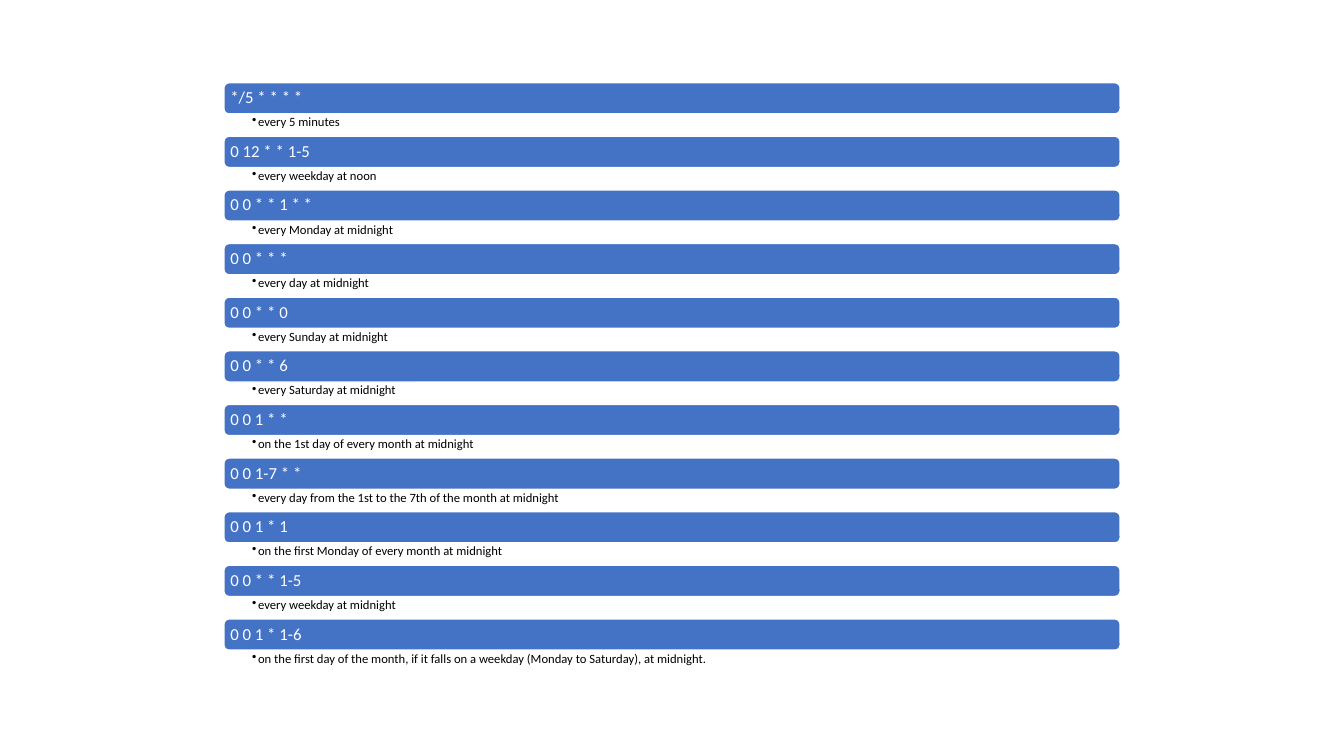
from lxml.etree import SubElement
from pptx import Presentation
from pptx.dml.color import RGBColor
from pptx.enum.shapes import MSO_SHAPE
from pptx.enum.text import MSO_ANCHOR, PP_ALIGN
from pptx.oxml.ns import qn
from pptx.util import Inches, Pt

COLOURS = {"bar": "4472C4", "outline": "FFFFFF", "expression": "FFFFFF", "meaning": "000000"}

SCHEDULES = [
    ("*/5 * * * *", "every 5 minutes"),
    ("0 12 * * 1-5", "every weekday at noon"),
    ("0 0 * * 1 * *", "every Monday at midnight"),
    ("0 0 * * *", "every day at midnight"),
    ("0 0 * * 0", "every Sunday at midnight"),
    ("0 0 * * 6", "every Saturday at midnight"),
    ("0 0 1 * *", "on the 1st day of every month at midnight"),
    ("0 0 1-7 * *", "every day from the 1st to the 7th of the month at midnight"),
    ("0 0 1 * 1", "on the first Monday of every month at midnight"),
    ("0 0 * * 1-5", "every weekday at midnight"),
    ("0 0 1 * 1-6",
     "on the first day of the month, if it falls on a weekday (Monday to Saturday), at midnight."),
]

# Layout of the list, in inches
LEFT, WIDTH = 2.22, 8.89
FIRST_TOP, LAST_TOP = 0.82, 6.14
BAR_HEIGHT, MEANING_HEIGHT = 0.31, 0.22
PITCH = (LAST_TOP - FIRST_TOP) / (len(SCHEDULES) - 1)


def write_line(shape, text, size, colour, insets, anchor):
    frame = shape.text_frame
    frame.word_wrap = True
    frame.vertical_anchor = anchor
    frame.margin_left, frame.margin_top, frame.margin_right, frame.margin_bottom = map(Inches, insets)
    paragraph = frame.paragraphs[0]
    paragraph.alignment = PP_ALIGN.LEFT
    paragraph.line_spacing = 0.9
    run = paragraph.add_run()
    run.text = text
    run.font.name = "Calibri"
    run.font.size = Pt(size)
    run.font.color.rgb = RGBColor.from_string(COLOURS[colour])
    return paragraph


presentation = Presentation()
presentation.slide_width = Inches(13.33)
presentation.slide_height = Inches(7.5)
slide = presentation.slides.add_slide(presentation.slide_layouts[6])

for index, (expression, meaning) in enumerate(SCHEDULES):
    top = FIRST_TOP + index * PITCH

    # Bar with the cron expression
    bar = slide.shapes.add_shape(MSO_SHAPE.ROUNDED_RECTANGLE, Inches(LEFT), Inches(top),
                                 Inches(WIDTH), Inches(BAR_HEIGHT))
    bar.name = f"Expression {index + 1}"
    bar.shadow.inherit = False
    bar.fill.solid()
    bar.fill.fore_color.rgb = RGBColor.from_string(COLOURS["bar"])
    bar.line.color.rgb = RGBColor.from_string(COLOURS["outline"])
    bar.line.width = Pt(1)
    write_line(bar, expression, 12, "expression", (0.05, 0.05, 0.05, 0.05), MSO_ANCHOR.MIDDLE)

    # Bulleted meaning below the bar
    box = slide.shapes.add_textbox(Inches(LEFT), Inches(top + BAR_HEIGHT),
                                   Inches(WIDTH), Inches(MEANING_HEIGHT))
    box.name = f"Meaning {index + 1}"
    paragraph = write_line(box, meaning, 9, "meaning", (0.28, 0.02, 0.09, 0.02), MSO_ANCHOR.TOP)
    paragraph.level = 1
    properties = paragraph._p.get_or_add_pPr()
    properties.set("marL", str(Inches(0.06)))
    properties.set("indent", str(Inches(-0.06)))
    SubElement(properties, qn("a:buChar")).set("char", "•")

presentation.save("out.pptx")
